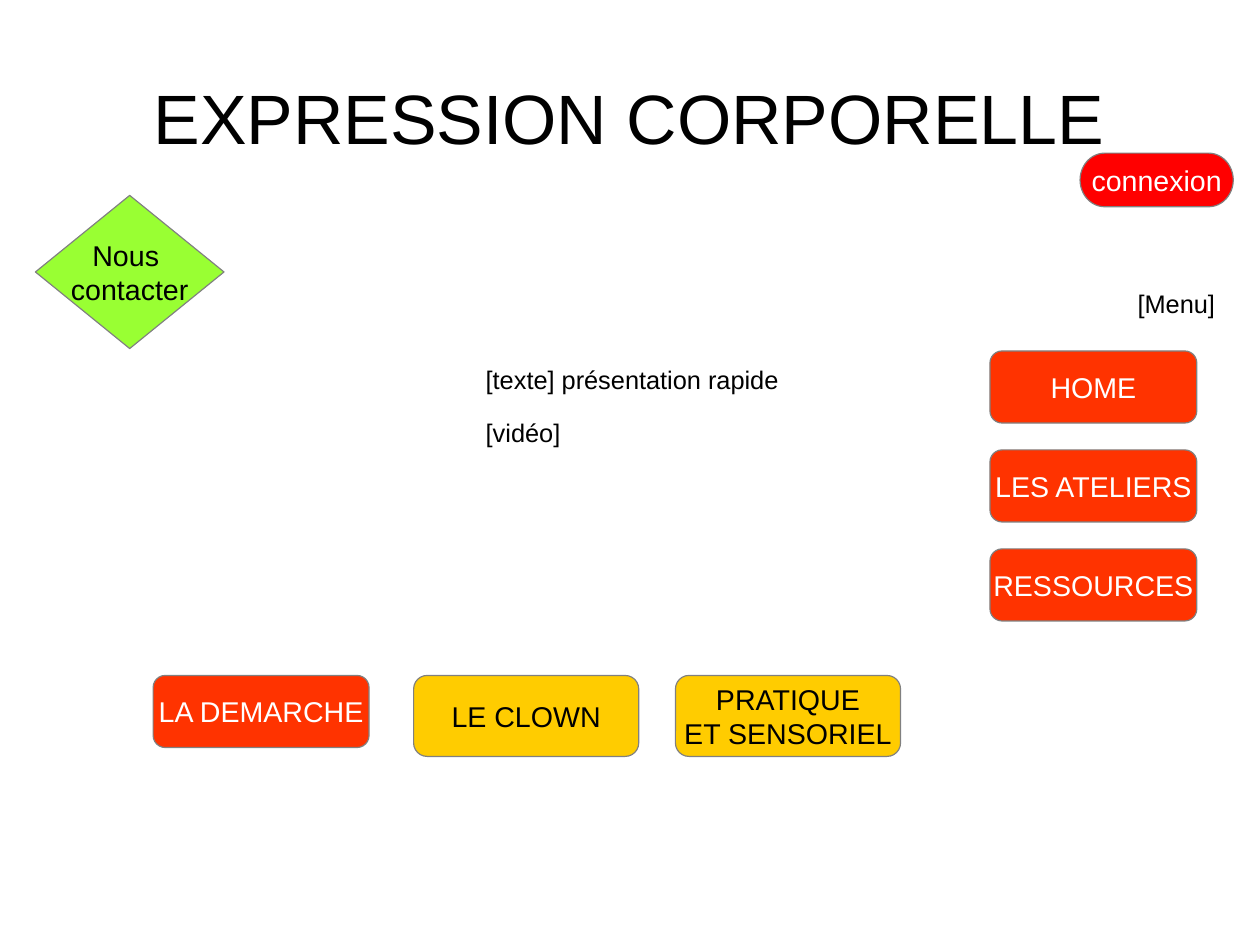
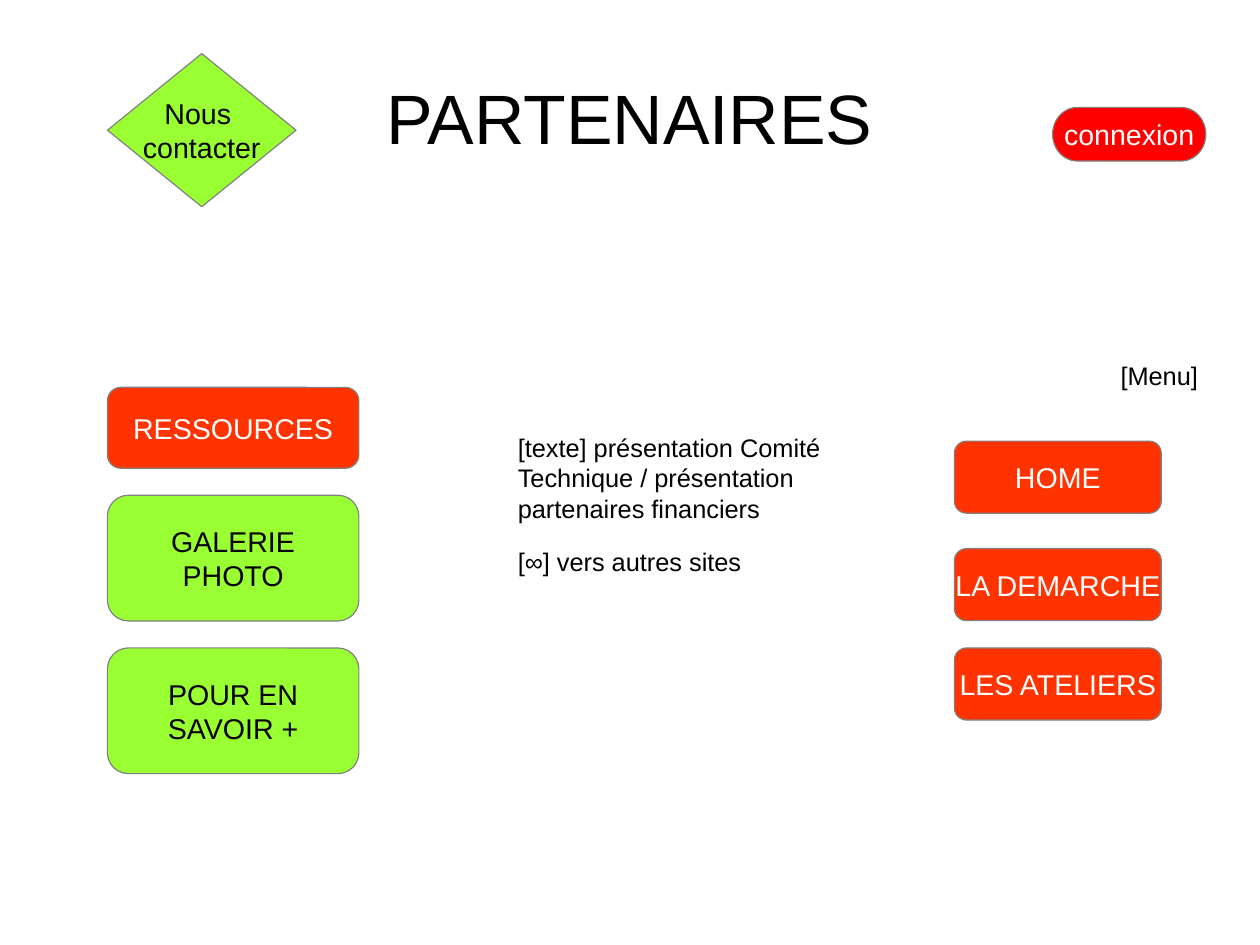
from pptx import Presentation
from pptx.dml.color import RGBColor
from pptx.enum.shapes import MSO_SHAPE as Kind
from pptx.enum.text import MSO_ANCHOR as Anchor, MSO_AUTO_SIZE as Fit, PP_ALIGN as Align
from pptx.util import Pt

BLACK = RGBColor(0x00, 0x00, 0x00)
WHITE = RGBColor(0xFF, 0xFF, 0xFF)
GREY = RGBColor(0x80, 0x80, 0x80)
ORANGE = RGBColor(0xFF, 0x33, 0x00)
YELLOW = RGBColor(0xFF, 0xCC, 0x00)
RED = RGBColor(0xFF, 0x00, 0x00)
GREEN = RGBColor(0x99, 0xFF, 0x33)

FONT = "Arial"
WIDE, HIGH = 793.7, 595.3
MARGINS = ("margin_left", "margin_top", "margin_right", "margin_bottom")
FLAT = dict.fromkeys(MARGINS, 0)
MENU_W, MENU_H = 130.3, 45.4
MENU_TOP = 62.35  # step from one menu button to the next


def apply(item, **values):
    for name, value in values.items():
        setattr(item, name, value)


def write(frame, text, size, color=BLACK, align=Align.LEFT, after=0):
    """Fill a frame with one paragraph per line of text."""
    frame.text = text
    for para in frame.paragraphs:
        apply(para, alignment=align, space_before=Pt(0), space_after=Pt(after))
        apply(para.font, name=FONT, size=Pt(size))
        para.font.color.rgb = color


def add_page(deck, title):
    slide = deck.slides.add_slide(deck.slide_layouts[5])
    head = slide.shapes.title
    apply(head, left=Pt(39.6), top=Pt(23.8), width=Pt(714.2), height=Pt(99.4))
    apply(head.text_frame, vertical_anchor=Anchor.MIDDLE, auto_size=Fit.NONE,
          word_wrap=True, **FLAT)
    write(head.text_frame, title, 44, align=Align.CENTER)
    return slide


def add_note(slide, text, x, y, w, h, align=Align.LEFT):
    frame = slide.shapes.add_textbox(Pt(x), Pt(y), Pt(w), Pt(h)).text_frame
    apply(frame, word_wrap=True, **FLAT)
    write(frame, text, 16, align=align, after=14.1)


def add_button(slide, text, x, y, w, h, fill=ORANGE, kind=Kind.FLOWCHART_ALTERNATE_PROCESS):
    shape = slide.shapes.add_shape(kind, Pt(x), Pt(y), Pt(w), Pt(h))
    shape.shadow.inherit = False
    shape.fill.solid()
    shape.fill.fore_color.rgb = fill
    shape.line.color.rgb = GREY
    shape.line.width = Pt(0)
    apply(shape.text_frame, word_wrap=False, vertical_anchor=Anchor.MIDDLE)
    ink = WHITE if fill in (ORANGE, RED) else BLACK
    write(shape.text_frame, text, 18, ink, Align.CENTER)


def add_menu(slide, x, items):
    for text, y in items:
        add_button(slide, text, x, y, MENU_W, MENU_H)


def add_login(slide, x, y):
    add_button(slide, "connexion", x, y, 96.5, 33.8, RED, Kind.FLOWCHART_TERMINATOR)


def add_contact(slide, x, y):
    add_button(slide, "Nous \ncontacter", x, y, 118.8, 96.5, GREEN, Kind.FLOWCHART_DECISION)


def build_home(deck):
    slide = add_page(deck, "EXPRESSION CORPORELLE")
    add_note(slide, "[texte] présentation rapide\n[vidéo]", 306, 229.7, 204.5, 104.4)
    add_note(slide, "[Menu]", 595.4, 181.4, 170, 30, Align.RIGHT)
    names = ("HOME", "LES ATELIERS", "RESSOURCES")
    add_menu(slide, 623.6, [(name, 221.1 + MENU_TOP * i) for i, name in enumerate(names)])
    add_button(slide, "LA DEMARCHE", 96.5, 425.5, 136, MENU_H)
    for x, text in ((260.6, "LE CLOWN"), (425.5, "PRATIQUE\nET SENSORIEL")):
        add_button(slide, text, x, 425.5, 141.8, 51, YELLOW)
    add_login(slide, 680.4, 96.5)
    add_contact(slide, 22.3, 123.1)


def build_partners(deck):
    slide = add_page(deck, "PARTENAIRES")
    add_note(slide, "[texte] présentation Comité Technique / présentation partenaires financiers\n"
             "[∞] vers autres sites", 326.2, 272.2, 196, 86)
    add_note(slide, "[Menu]", 561.6, 226.8, 193, 30, Align.RIGHT)
    y = 244
    for text, h, fill in (("RESSOURCES", 51, ORANGE), ("GALERIE\nPHOTO", 79.2, GREEN),
                          ("POUR EN\nSAVOIR +", 79.2, GREEN)):
        add_button(slide, text, 67.7, y, 158.4, h, fill)
        y += h + 17
    add_menu(slide, 601.2, [("HOME", 277.9), ("LA DEMARCHE", 345.6), ("LES ATELIERS", 408.2)])
    add_login(slide, 663.1, 67.7)
    add_contact(slide, 67.7, 33.8)


def main():
    deck = Presentation()
    apply(deck, slide_width=Pt(WIDE), slide_height=Pt(HIGH))
    build_home(deck)
    build_partners(deck)
    deck.save("out.pptx")


if __name__ == "__main__":
    main()
